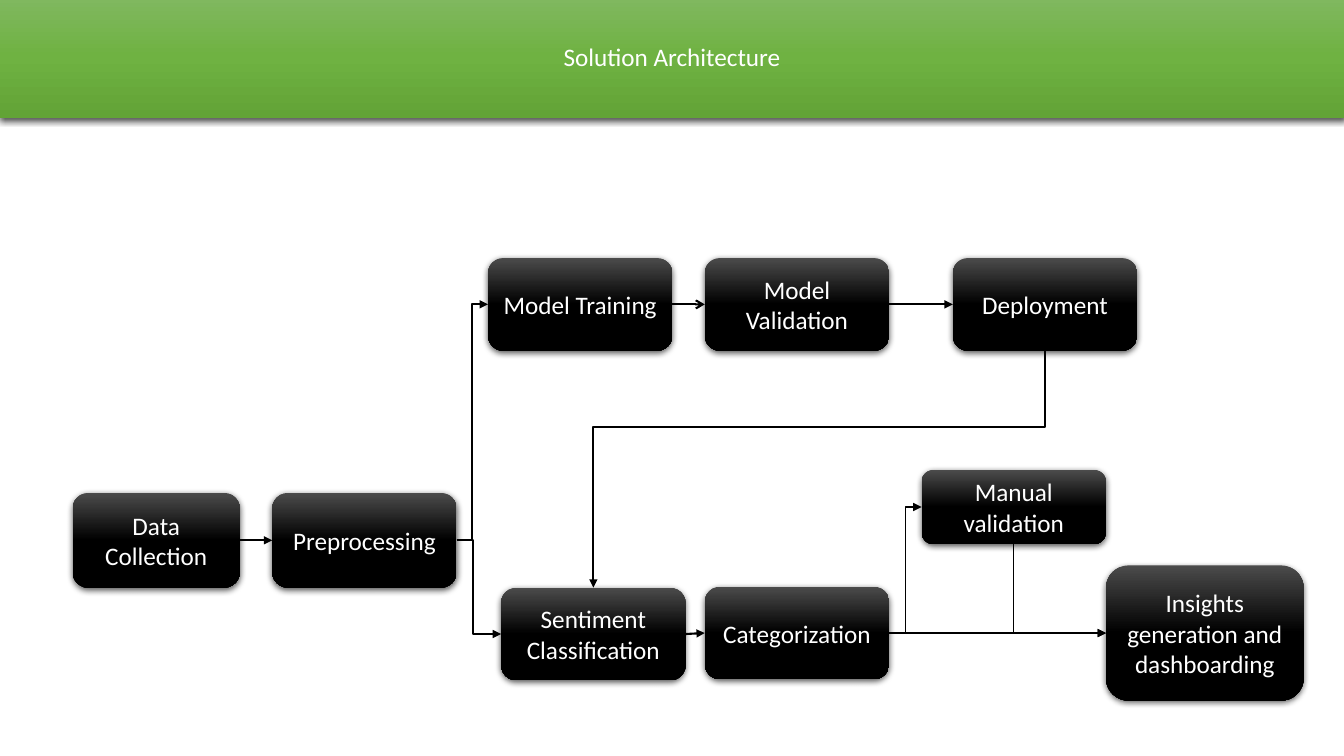
from lxml import etree
from pptx import Presentation
from pptx import util as u
from pptx.dml import color as col
from pptx.enum import shapes, text
from pptx.oxml import ns, parse_xml

HUES = {"ink": "000000", "text": "FFFFFF", "top": "4B4B4B",
        "lime": "81B861", "leaf": "6FB242", "moss": "62A336"}
DARK = ("top", "ink", "ink")
GREEN = ("lime", "leaf", "moss")


def style(shape, stops):
    """Gradient fill, soft shadow and centred white text."""
    grad = "".join(f'<a:gs pos="{i * 50000}"><a:srgbClr val="{HUES[name]}"/></a:gs>'
                   for i, name in enumerate(stops))
    shape.line.fill.background()
    shape.shadow.inherit = False
    props = shape.fill._xPr
    shape.fill.background()
    props.replace(props.find(ns.qn("a:noFill")), parse_xml(
        f'<a:gradFill {ns.nsdecls("a")} rotWithShape="1"><a:gsLst>{grad}</a:gsLst>'
        '<a:lin ang="5400000" scaled="0"/></a:gradFill>'))
    glow = etree.SubElement(props.find(ns.qn("a:effectLst")), ns.qn("a:outerShdw"),
                            blurRad="57150", dist="19050", dir="5400000",
                            algn="ctr", rotWithShape="0")
    tint = etree.SubElement(glow, ns.qn("a:srgbClr"), val=HUES["ink"])
    etree.SubElement(tint, ns.qn("a:alpha"), val="63000")
    frame = shape.text_frame
    frame.word_wrap = True
    frame.vertical_anchor = text.MSO_ANCHOR.MIDDLE
    para = frame.paragraphs[0]
    para.alignment = text.PP_ALIGN.CENTER
    para.font.name, para.font.size = "Calibri", u.Pt(18)
    para.font.color.rgb = col.RGBColor.from_string(HUES["text"])


deck = Presentation()
deck.slide_width, deck.slide_height = u.Inches(13.33), u.Inches(7.5)
slide = deck.slides.add_slide(deck.slide_layouts[5])

# Title banner
title = slide.shapes.title
title.left, title.top = u.Inches(0), u.Inches(-0.05)
title.width, title.height = u.Inches(13.33), u.Inches(1.22)
title.text = "Solution Architecture"
style(title, GREEN)

# Process steps: left, top, width, height
STEPS = {
    "Data Collection": (0.72, 4.89, 1.66, 0.94),
    "Preprocessing": (2.7, 4.89, 1.83, 0.94),
    "Model Training": (4.84, 2.56, 1.83, 0.92),
    "Model Validation": (6.99, 2.56, 1.83, 0.92),
    "Deployment": (9.45, 2.56, 1.83, 0.92),
    "Sentiment Classification": (4.97, 5.83, 1.83, 0.92),
    "Categorization": (6.99, 5.82, 1.83, 0.92),
    "Manual validation": (9.14, 4.66, 1.83, 0.74),
    "Insights generation and dashboarding": (10.97, 5.61, 1.96, 1.34),
}
boxes = {}
for name, place in STEPS.items():
    box = slide.shapes.add_shape(shapes.MSO_SHAPE.ROUNDED_RECTANGLE,
                                 *(u.Inches(v) for v in place))
    box.text_frame.text = name
    style(box, DARK)
    boxes[name] = box

# Flow arrows: from, side, to, side, width, head, bend (None is straight)
TOP, LEFT, BOTTOM, RIGHT = range(4)
INSIGHT = "Insights generation and dashboarding"
FLOWS = [
    ("Data Collection", RIGHT, "Preprocessing", LEFT, 1.5, "triangle", None),
    ("Preprocessing", RIGHT, "Model Training", LEFT, 1.5, "triangle", 0.5),
    ("Preprocessing", RIGHT, "Sentiment Classification", LEFT, 1.5, "triangle", 0.374),
    ("Model Training", RIGHT, "Model Validation", LEFT, 1.5, "arrow", None),
    ("Model Validation", RIGHT, "Deployment", LEFT, 1.5, "triangle", None),
    ("Deployment", BOTTOM, "Sentiment Classification", TOP, 1.5, "triangle", 0.32),
    ("Sentiment Classification", RIGHT, "Categorization", LEFT, 1.5, "triangle", None),
    ("Categorization", RIGHT, "Manual validation", LEFT, 1, "triangle", 0.5),
    ("Categorization", RIGHT, INSIGHT, LEFT, 1, "triangle", None),
    ("Manual validation", BOTTOM, INSIGHT, LEFT, 1, "triangle", 1),
]
KIND = shapes.MSO_CONNECTOR
for start, out, end, into, width, head, bend in FLOWS:
    link = slide.shapes.add_connector(KIND.STRAIGHT if bend is None else KIND.ELBOW,
                                      0, 0, 0, 0)
    link.begin_connect(boxes[start], out)
    link.end_connect(boxes[end], into)
    link.line.color.rgb = col.RGBColor.from_string(HUES["ink"])
    link.line.width = u.Pt(width)
    props = link._element.spPr
    etree.SubElement(props.find(ns.qn("a:ln")), ns.qn("a:tailEnd"), type=head)
    etree.SubElement(props, ns.qn("a:effectLst"))
    if bend is None:
        continue
    shape = props.find(ns.qn("a:prstGeom"))
    if into == LEFT and out == BOTTOM:
        shape.set("prst", "bentConnector2")
    else:
        guides = shape.find(ns.qn("a:avLst"))
        if guides is None:
            guides = etree.SubElement(shape, ns.qn("a:avLst"))
        etree.SubElement(guides, ns.qn("a:gd"), name="adj1",
                         fmla=f"val {round(bend * 100000)}")
    # An elbow that leaves downwards is a turned box about the same centre
    if out == BOTTOM:
        wide, tall = link.width, link.height
        link.left, link.top = (link.left + (wide - tall) // 2,
                               link.top + (tall - wide) // 2)
        link.width, link.height = tall, wide
        frame = props.find(ns.qn("a:xfrm"))
        frame.set("rot", str((90 if into == TOP else 270) * 60000))
        frame.set("flipH", "0" if into == TOP else "1")

deck.save("out.pptx")
